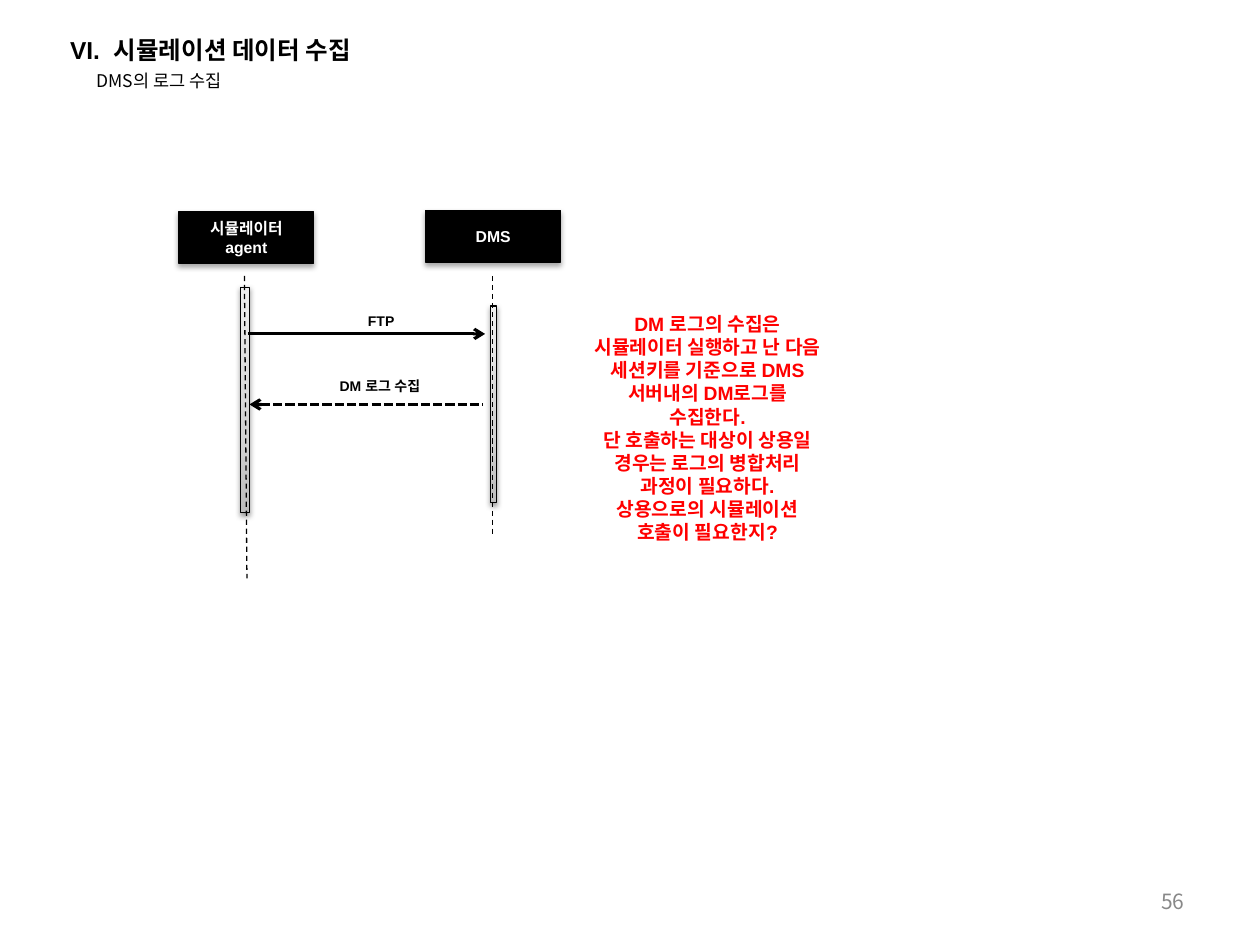
from lxml.etree import SubElement
from pptx import Presentation
from pptx.dml.color import RGBColor
from pptx.enum.dml import MSO_LINE
from pptx.enum.shapes import MSO_CONNECTOR, MSO_SHAPE
from pptx.enum.text import MSO_ANCHOR, PP_ALIGN
from pptx.oxml.ns import qn
from pptx.util import Pt

THEME = {
    "black": "000000", "white": "FFFFFF", "note": "FF0000", "page": "888888",
    "bar": [(0, "BDBDBD"), (35, "D1D1D1"), (100, "EEEEEE")],
    "latin": "Arial", "korean": "Noto Sans CJK KR",
    "title_size": 14, "subtitle_size": 10, "page_size": 12,
    "participant_size": 9, "message_size": 8, "note_size": 11,
    "thin": 0.75, "thick": 1.75,
}

# Boxes are left, top, width, height; lines are x1, y1, x2, y2.
HEADER = [
    dict(lines=["DMS의 로그 수집"], box=(48.24, 33.12, 491.04, 25.92),
         size=THEME["subtitle_size"], font=THEME["korean"], bold=False),
    dict(lines=["56"], box=(516.24, 500.4, 167.76, 28.8), size=THEME["page_size"],
         font=THEME["korean"], bold=False, color=THEME["page"], align=PP_ALIGN.RIGHT),
    dict(lines=["VI.  시뮬레이션 데이터 수집"], box=(19.44, 11.52, 655.92, 25.92),
         size=THEME["title_size"], indent=13.5, spacing=1.5),
]
PARTICIPANTS = [
    dict(lines=["시뮬레이터", "agent"], head=(102.24, 120.96, 77.04, 29.52),
         bar=(137.52, 164.16, 5.04, 128.88), lifeline=(139.68, 157.68, 141.12, 330.48)),
    dict(lines=["DMS"], head=(243.36, 120.24, 77.04, 29.52),
         bar=(280.08, 174.96, 3.6, 112.32), lifeline=(281.52, 157.68, 281.52, 306)),
]
MESSAGES = [
    dict(label="FTP", box=(203.04, 174.96, 29.52, 17.28),
         line=(141.84, 190.8, 277.2, 190.8), arrow="tailEnd", dash=None),
    dict(label="DM 로그 수집", box=(185.04, 212.4, 64.08, 17.28),
         line=(142.56, 231.12, 275.76, 231.12), arrow="headEnd",
         dash=MSO_LINE.SQUARE_DOT),
]
NOTE = [
    "DM 로그의 수집은 시뮬레이터 실행하고 난 다음 세션키를 기준으로 DMS서버내의 DM로그를 수집한다.",
    "단 호출하는 대상이 상용일 경우는 로그의 병합처리 과정이 필요하다.",
    "상용으로의 시뮬레이션 호출이 필요한지?",
]
NOTE_BOX = (330.48, 174.96, 147.6, 140.4)


def rgb(value):
    return RGBColor.from_string(value)


def points(values):
    return [Pt(value) for value in values]


def write(shape, lines, size, color=THEME["black"], font=THEME["latin"], bold=True,
          align=PP_ALIGN.LEFT, anchor=MSO_ANCHOR.MIDDLE, wrap=True, indent=0, spacing=None):
    frame = shape.text_frame
    frame.word_wrap, frame.vertical_anchor = wrap, anchor
    frame.text = "\n".join(lines)
    for paragraph in frame.paragraphs:
        paragraph.alignment = align
        if spacing:
            paragraph.line_spacing = spacing
        if indent:
            paragraph._p.get_or_add_pPr().set("marL", str(Pt(indent)))
        for run in paragraph.runs:
            formats = {"size": Pt(size), "bold": bold, "name": font}
            for name, value in formats.items():
                setattr(run.font, name, value)
            run.font.color.rgb = rgb(color)
            SubElement(run.font._element, qn("a:ea"), typeface=THEME["korean"])


def add_text(slide, lines, box, **style):
    write(slide.shapes.add_textbox(*points(box)), lines, **style)


def add_color(parent, value, opacity=100):
    color = SubElement(parent, qn("a:srgbClr"), val=value)
    if opacity < 100:
        SubElement(color, qn("a:alpha"), val=str(opacity * 1000))


def add_block(slide, box, opacity, distance):
    """Add an outlined rectangle with a soft shadow below it."""
    block = slide.shapes.add_shape(MSO_SHAPE.RECTANGLE, *points(box))
    block.line.color.rgb = rgb(THEME["black"])
    block.line.width = Pt(THEME["thin"])
    block.shadow.inherit = False
    effects = block._element.spPr.find(qn("a:effectLst"))
    shadow = SubElement(effects, qn("a:outerShdw"), blurRad=str(Pt(3.1)),
                        dist=str(Pt(distance)), dir="5400000", rotWithShape="0")
    add_color(shadow, THEME["black"], opacity)
    return block


def add_bar(slide, box):
    bar = add_block(slide, box, 38, 1.6)
    bar.fill.gradient()
    bar.fill.gradient_angle = 90
    stops = bar._element.spPr.find(qn("a:gradFill")).find(qn("a:gsLst"))
    for old in list(stops):
        stops.remove(old)
    for position, color in THEME["bar"]:
        add_color(SubElement(stops, qn("a:gs"), pos=str(position * 1000)), color)


def add_line(slide, ends, width, dash=None, arrow=None):
    connector = slide.shapes.add_connector(MSO_CONNECTOR.STRAIGHT, *points(ends))
    connector.line.color.rgb = rgb(THEME["black"])
    connector.line.width = Pt(width)
    if dash:
        connector.line.dash_style = dash
    if arrow:
        SubElement(connector.line._get_or_add_ln(), qn(f"a:{arrow}"), type="arrow")
    SubElement(connector._element.spPr, qn("a:effectLst"))


def main():
    deck = Presentation()
    deck.slide_width, deck.slide_height = Pt(720), Pt(540)
    slide = deck.slides.add_slide(deck.slide_layouts[6])

    for item in HEADER:
        add_text(slide, **item)
    for participant in PARTICIPANTS:
        head = add_block(slide, participant["head"], 35, 1.8)
        head.fill.solid()
        head.fill.fore_color.rgb = rgb(THEME["black"])
        write(head, participant["lines"], THEME["participant_size"], THEME["white"],
              align=PP_ALIGN.CENTER)
        add_bar(slide, participant["bar"])
    for message in MESSAGES:
        add_line(slide, message["line"], THEME["thick"], message["dash"], message["arrow"])
        add_text(slide, [message["label"]], message["box"], size=THEME["message_size"],
                 align=PP_ALIGN.CENTER, anchor=MSO_ANCHOR.TOP, wrap=False)
    for participant in PARTICIPANTS:
        add_line(slide, participant["lifeline"], THEME["thin"], MSO_LINE.DASH)
    add_text(slide, NOTE, NOTE_BOX, size=THEME["note_size"], color=THEME["note"],
             align=PP_ALIGN.CENTER, anchor=MSO_ANCHOR.TOP)

    deck.save("out.pptx")


if __name__ == "__main__":
    main()
